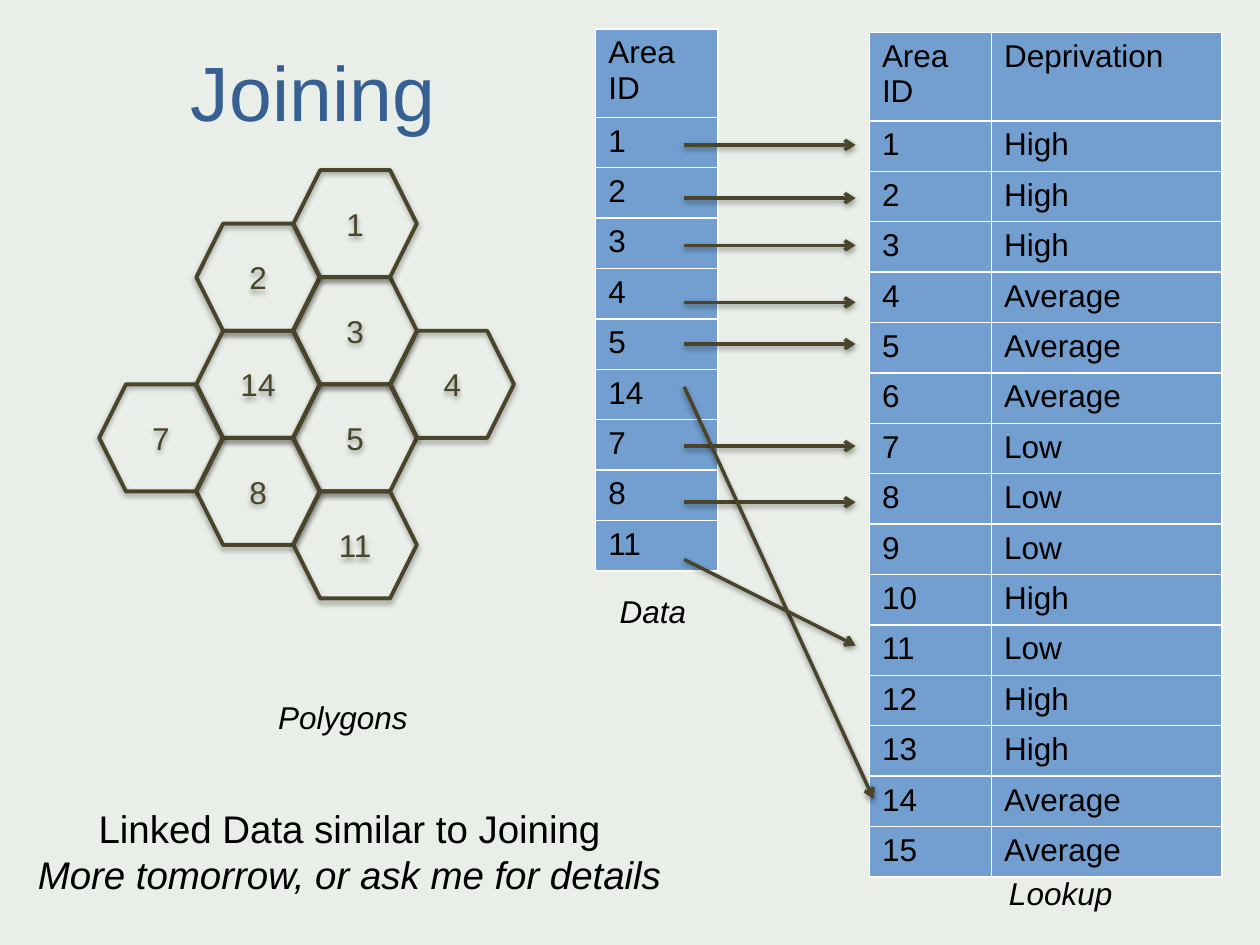
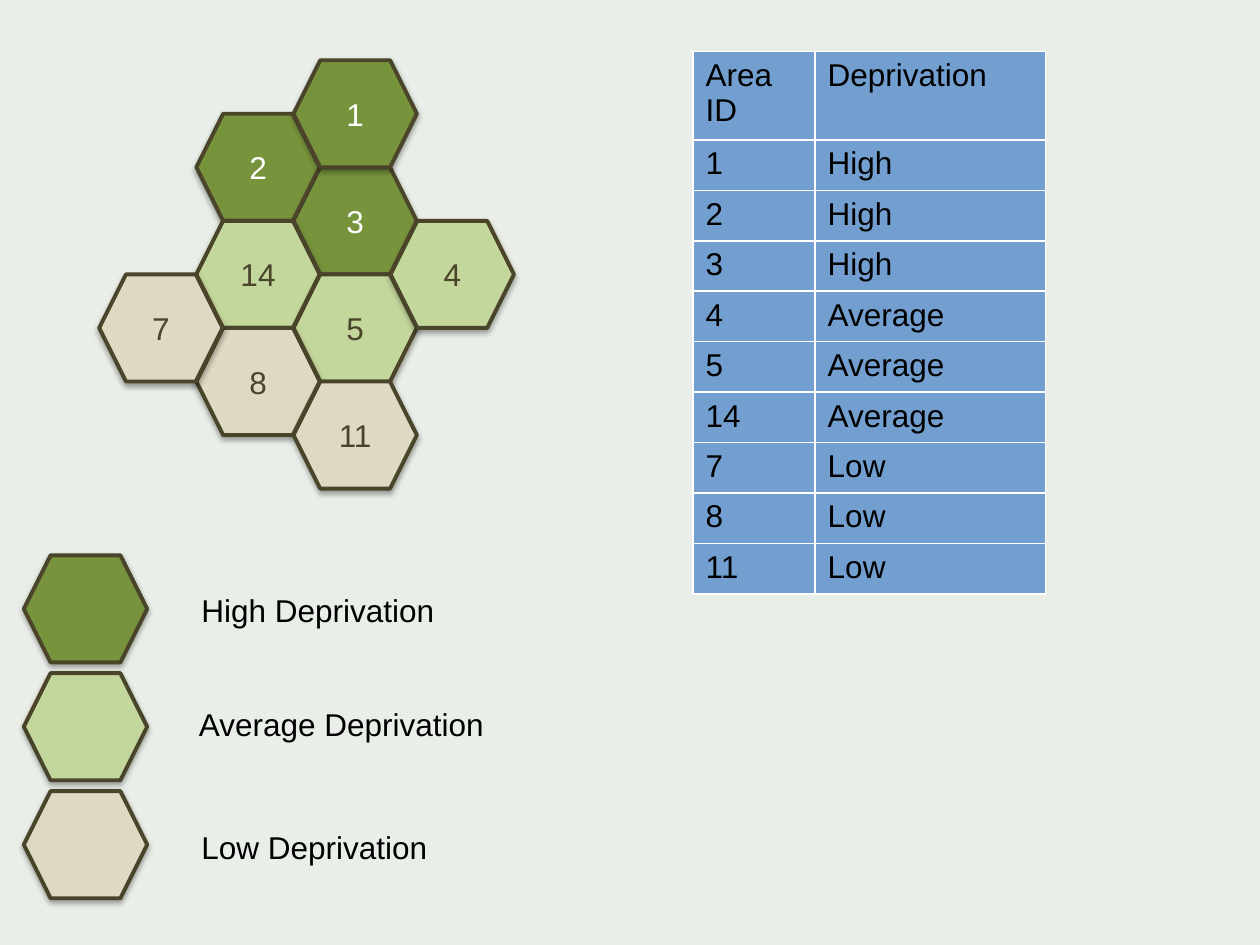
"""Build two slides that join area polygons to a deprivation lookup table."""
import lxml.etree
import pptx
import pptx.dml.color
import pptx.enum.shapes
import pptx.enum.text
import pptx.oxml.ns
import pptx.util

Pt = pptx.util.Pt
qn = pptx.oxml.ns.qn
ALIGN = pptx.enum.text.PP_ALIGN
ANCHOR = pptx.enum.text.MSO_ANCHOR

FONT = "Arial"
BACKGROUND = "E9EFE8"
BLACK = "000000"
WHITE = "FFFFFF"
BROWN = "4A452A"
TITLE_BLUE = "376092"
TABLE_BLUE = "729FCF"
LEVEL_FILLS = {"High": "77933C", "Average": "C3D69B", "Low": "DDD9C3"}
LEVEL_TEXTS = {"High": WHITE, "Average": BROWN, "Low": BROWN}

LEVELS = ["High"] * 3 + ["Average"] * 3 + ["Low"] * 3 + [
    "High", "Low", "High", "High", "Average", "Average"]
LOOKUP = dict(enumerate(LEVELS, start=1))
DATA_AREAS = [1, 2, 3, 4, 5, 14, 7, 8, 11]

HEXAGON_WIDTH, HEXAGON_HEIGHT = 70.5, 61.2
HEXAGON_LEFT, COLUMN_STEP, HALF_ROW = 56.7, 55.5, HEXAGON_HEIGHT / 2
HEXAGON_CELLS = {2: (1, 1), 3: (2, 2), 1: (2, 0), 14: (1, 3), 5: (2, 4),
                 8: (1, 5), 4: (3, 3), 11: (2, 6), 7: (0, 4)}
ID_WIDTH, LEVEL_WIDTH = 69.8, 131.8
HEADER_HEIGHT, ROW_HEIGHT = 50.4, 28.8


def color(hex_string):
    return pptx.dml.color.RGBColor.from_string(hex_string)


def write_text(frame, text, size=18, fill=BLACK, italic=False, align=None):
    paragraph = frame.paragraphs[0]
    if paragraph.runs:
        paragraph = frame.add_paragraph()
    paragraph.alignment = align
    run = paragraph.add_run()
    run.text = text
    run.font.name = FONT
    run.font.size = Pt(size)
    run.font.italic = italic
    run.font.color.rgb = color(fill)


class Deck:
    def __init__(self):
        self.presentation = pptx.Presentation()
        self.presentation.slide_width = Pt(720)
        self.presentation.slide_height = Pt(540)
        fill = self.presentation.slide_master.background.fill
        fill.solid()
        fill.fore_color.rgb = color(BACKGROUND)
        self.slide = None

    def add_slide(self, layout_name):
        layout = self.presentation.slide_layouts.get_by_name(layout_name)
        self.slide = self.presentation.slides.add_slide(layout)

    def title(self, text, left, top, width, height):
        shape = self.slide.shapes.title
        shape.left, shape.top = Pt(left), Pt(top)
        shape.width, shape.height = Pt(width), Pt(height)
        shape.text_frame.vertical_anchor = ANCHOR.TOP
        write_text(shape.text_frame, text, size=44, fill=TITLE_BLUE, align=ALIGN.CENTER)

    def label(self, text, left, top, width, height=28.8, **text_format):
        shape = self.slide.shapes.add_textbox(Pt(left), Pt(top), Pt(width), Pt(height))
        shape.text_frame.word_wrap = False
        write_text(shape.text_frame, text, **text_format)
        return shape.text_frame

    def shadow(self, shape, distance, opacity):
        properties = shape._element.spPr
        effects = properties.find(qn("a:effectLst"))
        if effects is None:
            effects = lxml.etree.SubElement(properties, qn("a:effectLst"))
        outer = lxml.etree.SubElement(
            effects, qn("a:outerShdw"), blurRad=str(Pt(3.15)), dist=str(Pt(distance)),
            dir="5400000", rotWithShape="0")
        shade = lxml.etree.SubElement(outer, qn("a:srgbClr"), val=BLACK)
        lxml.etree.SubElement(shade, qn("a:alpha"), val=str(opacity * 1000))

    def hexagon(self, left, top, text="", fill=None, text_fill=BROWN):
        shape = self.slide.shapes.add_shape(
            pptx.enum.shapes.MSO_SHAPE.HEXAGON, Pt(left), Pt(top),
            Pt(HEXAGON_WIDTH), Pt(HEXAGON_HEIGHT))
        if fill:
            shape.fill.solid()
            shape.fill.fore_color.rgb = color(fill)
        else:
            shape.fill.background()
        shape.line.color.rgb = color(BROWN)
        shape.line.width = Pt(2.25)
        shape.shadow.inherit = False
        self.shadow(shape, 1.8, 35)
        if text:
            shape.text_frame.vertical_anchor = ANCHOR.MIDDLE
            write_text(shape.text_frame, text, fill=text_fill, align=ALIGN.CENTER)

    def polygons(self, top, shaded):
        for area, (column, half_rows) in HEXAGON_CELLS.items():
            level = LOOKUP[area]
            self.hexagon(HEXAGON_LEFT + column * COLUMN_STEP, top + half_rows * HALF_ROW,
                         str(area), LEVEL_FILLS[level] if shaded else None,
                         LEVEL_TEXTS[level] if shaded else BROWN)

    def table(self, left, top, areas, with_levels=True):
        rows = [("Area ID", "Deprivation")] + [(str(area), LOOKUP[area]) for area in areas]
        widths = [ID_WIDTH, LEVEL_WIDTH] if with_levels else [ID_WIDTH]
        height = HEADER_HEIGHT + ROW_HEIGHT * len(areas)
        table = self.slide.shapes.add_table(
            len(rows), len(widths), Pt(left), Pt(top), Pt(sum(widths)), Pt(height)).table
        table.first_row = table.horz_banding = False
        for column, width in zip(table.columns, widths):
            column.width = Pt(width)
        for index, values in enumerate(rows):
            table.rows[index].height = Pt(ROW_HEIGHT if index else HEADER_HEIGHT)
            for cell, value in zip(table.rows[index].cells, values):
                self.cell(cell, value)

    def cell(self, cell, text):
        properties = cell._tc.get_or_add_tcPr()
        for side in ("lnL", "lnR", "lnT", "lnB"):
            line = lxml.etree.SubElement(properties, qn(f"a:{side}"), w=str(Pt(0.96)))
            fill = lxml.etree.SubElement(line, qn("a:solidFill"))
            lxml.etree.SubElement(fill, qn("a:srgbClr"), val=WHITE)
        cell.fill.solid()
        cell.fill.fore_color.rgb = color(TABLE_BLUE)
        write_text(cell.text_frame, text)

    def arrow(self, start_y, end_y, start_x=391, end_x=488.9):
        connector = self.slide.shapes.add_connector(
            pptx.enum.shapes.MSO_CONNECTOR.STRAIGHT,
            Pt(start_x), Pt(start_y), Pt(end_x), Pt(end_y))
        connector.line.color.rgb = color(BROWN)
        connector.line.width = Pt(2)
        lxml.etree.SubElement(connector.line._get_or_add_ln(), qn("a:tailEnd"), type="arrow")
        self.shadow(connector, 1.6, 38)


def build_joining(deck):
    deck.add_slide("Title Only")
    deck.title("Joining", 36, 21.6, 285.8, 90)
    deck.polygons(97.2, shaded=False)
    deck.table(496.8, 18.7, list(LOOKUP))
    deck.table(340.4, 16.6, DATA_AREAS, with_levels=False)
    deck.label("Polygons", 151.9, 395.3, 92, italic=True)
    deck.label("Data", 347, 334.8, 56, italic=True)
    deck.label("Lookup", 569.5, 496.1, 77, italic=True)
    for height in (82.8, 113.2, 140.2, 172.8, 196.6, 254.9, 287):
        deck.arrow(height, height)
    deck.arrow(221, 456.5, end_x=499.2)
    deck.arrow(319.7, 368.9)
    closing = deck.label("Linked Data similar to Joining", 12.4, 456.5, 374.8, 59.8,
                         size=22, align=ALIGN.CENTER)
    write_text(closing, "More tomorrow, or ask me for details",
               size=22, italic=True, align=ALIGN.CENTER)


def build_result(deck):
    deck.add_slide("Blank")
    deck.polygons(34.4, shaded=True)
    label_places = [(108, 334.1, 151), (106.6, 399.6, 181), (108, 469.4, 147)]
    for index, (level, place) in enumerate(zip(LEVEL_FILLS, label_places)):
        deck.hexagon(13.6, 317.3 + 67.4 * index, fill=LEVEL_FILLS[level])
        deck.label(f"{level} Deprivation", *place)
    deck.table(396, 29.5, DATA_AREAS)


def main():
    deck = Deck()
    build_joining(deck)
    build_result(deck)
    deck.presentation.save("out.pptx")


if __name__ == "__main__":
    main()
